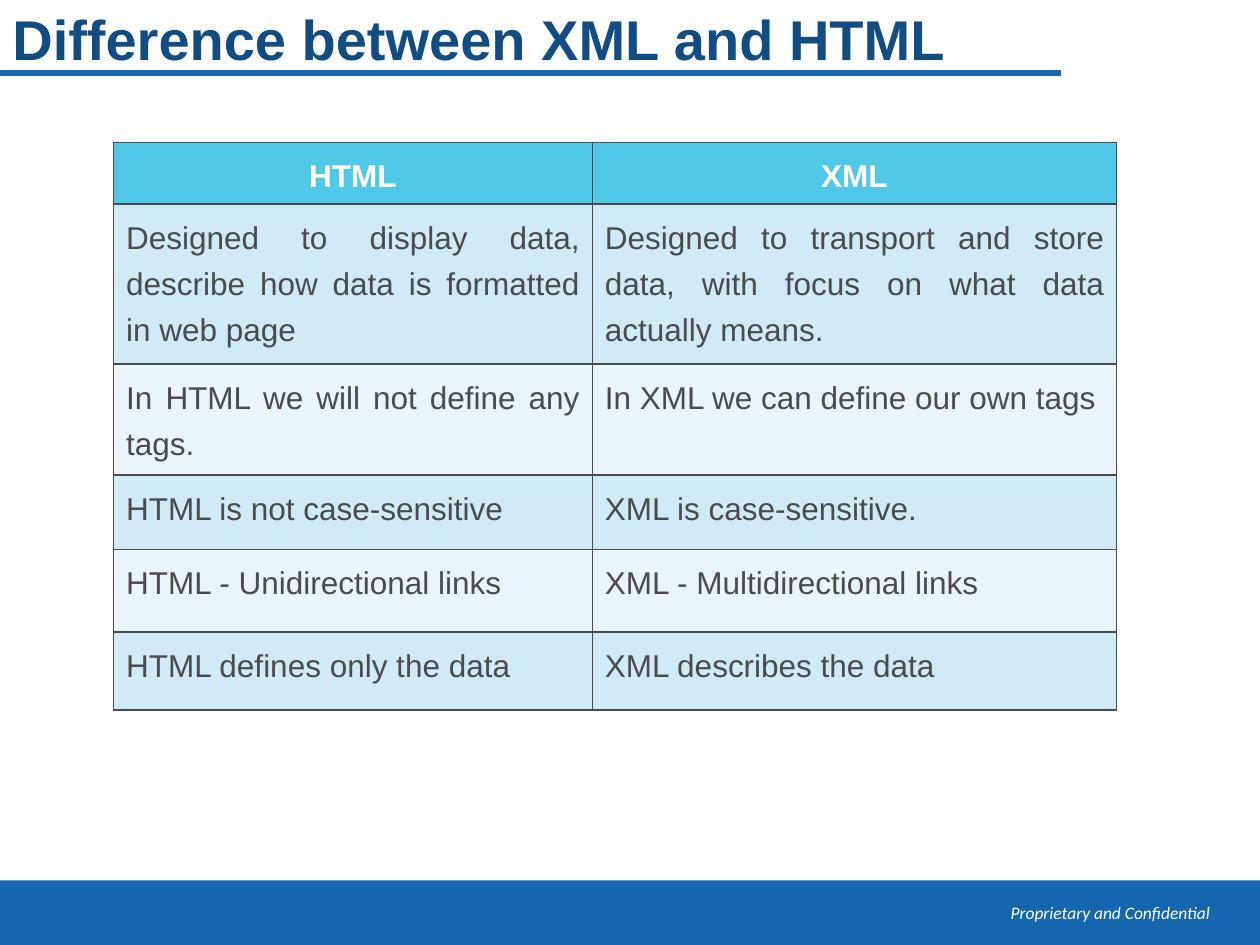
from lxml.etree import SubElement
from pptx import Presentation
from pptx.dml.color import RGBColor
from pptx.enum.shapes import MSO_CONNECTOR, MSO_SHAPE
from pptx.enum.text import MSO_ANCHOR, PP_ALIGN
from pptx.oxml import parse_xml
from pptx.oxml.ns import nsdecls, qn
from pptx.util import Cm, Pt

BLUE, NAVY, GRAY, WHITE = "1666AF", "114C83", "4B4A4C", "FFFFFF"
HEADER_FILL, BAND_FILLS = "50C8E8", ("D0EBF6", "E9F5FB")


def color(value):
    """Turn a hex string into a colour."""
    return RGBColor.from_string(value)


def write(text_frame, text, size, font_color, alignment, name="Arial"):
    """Put one formatted paragraph in a text frame and return it."""
    text_frame.text = text
    text_frame.word_wrap = True
    paragraph = text_frame.paragraphs[0]
    paragraph.alignment = alignment
    font = paragraph.runs[0].font
    font.name, font.size = name, Pt(size)
    font.color.rgb = color(font_color)
    return paragraph


presentation = Presentation()
presentation.slide_width, presentation.slide_height = Cm(25.4), Cm(19.05)
slide = presentation.slides.add_slide(presentation.slide_layouts[6])

# Footer band
footer = slide.shapes.add_shape(
    MSO_SHAPE.RECTANGLE, Cm(0), Cm(17.75), Cm(25.4), Cm(1.3))
footer.shadow.inherit = False
footer.fill.solid()
footer.fill.fore_color.rgb = color(BLUE)
footer.line.fill.background()

notice = slide.shapes.add_textbox(Cm(18.67), Cm(18.06), Cm(5.97), Cm(0.81))
paragraph = write(notice.text_frame, "Proprietary and Confidential", 10, WHITE,
                  PP_ALIGN.RIGHT, "Calibri")
paragraph.runs[0].font.italic = True

# Title and its rule
rule = slide.shapes.add_connector(
    MSO_CONNECTOR.STRAIGHT, Cm(0), Cm(1.47), Cm(21.38), Cm(1.47))
rule.line.color.rgb = color(BLUE)
rule.line.width = Pt(3)
SubElement(rule._element.spPr, qn("a:effectLst"))

title = slide.shapes.add_textbox(Cm(0), Cm(0.08), Cm(25.4), Cm(1.57))
title.text_frame.vertical_anchor = MSO_ANCHOR.MIDDLE
paragraph = write(title.text_frame, "Difference between XML and HTML", 32, NAVY,
                  PP_ALIGN.LEFT)
paragraph.line_spacing = 0.88
paragraph.runs[0].font.bold = True

# Comparison table
rows = [
    ("HTML", "XML"),
    ("Designed to display data, describe how data is formatted in web page",
     "Designed to transport and store data, with focus on what data "
     "actually means."),
    ("In HTML we will not define any tags.",
     "In XML we can define our own tags"),
    ("HTML is not case-sensitive", "XML is case-sensitive."),
    ("HTML - Unidirectional links", "XML - Multidirectional links"),
    ("HTML defines only the data", "XML describes the data"),
]
column_widths = [9.65, 10.57]
row_heights = [1.2, 3.02, 2.1, 1.5, 1.67, 1.57]

table = slide.shapes.add_table(
    len(rows), len(column_widths), Cm(2.29), Cm(2.87),
    Cm(sum(column_widths)), Cm(sum(row_heights))).table
for column, width in zip(table.columns, column_widths):
    column.width = Cm(width)
for row, height in zip(table.rows, row_heights):
    row.height = Cm(height)

for row_index, texts in enumerate(rows):
    is_header = row_index == 0
    fill = HEADER_FILL if is_header else BAND_FILLS[(row_index - 1) % 2]
    for column_index, text in enumerate(texts):
        cell = table.cell(row_index, column_index)
        paragraph = write(cell.text_frame, text, 18,
                          WHITE if is_header else GRAY,
                          PP_ALIGN.CENTER if is_header else PP_ALIGN.JUSTIFY)
        paragraph.line_spacing = 1.3
        paragraph.runs[0].font.bold = is_header
        cell.fill.solid()
        cell.fill.fore_color.rgb = color(fill)
        properties = cell._tc.get_or_add_tcPr()
        for position, side in enumerate(("lnL", "lnR", "lnT", "lnB")):
            properties.insert(position, parse_xml(
                f'<a:{side} {nsdecls("a")} w="{Pt(1)}"><a:solidFill>'
                f'<a:srgbClr val="{GRAY}"/></a:solidFill></a:{side}>'))

presentation.save("out.pptx")
